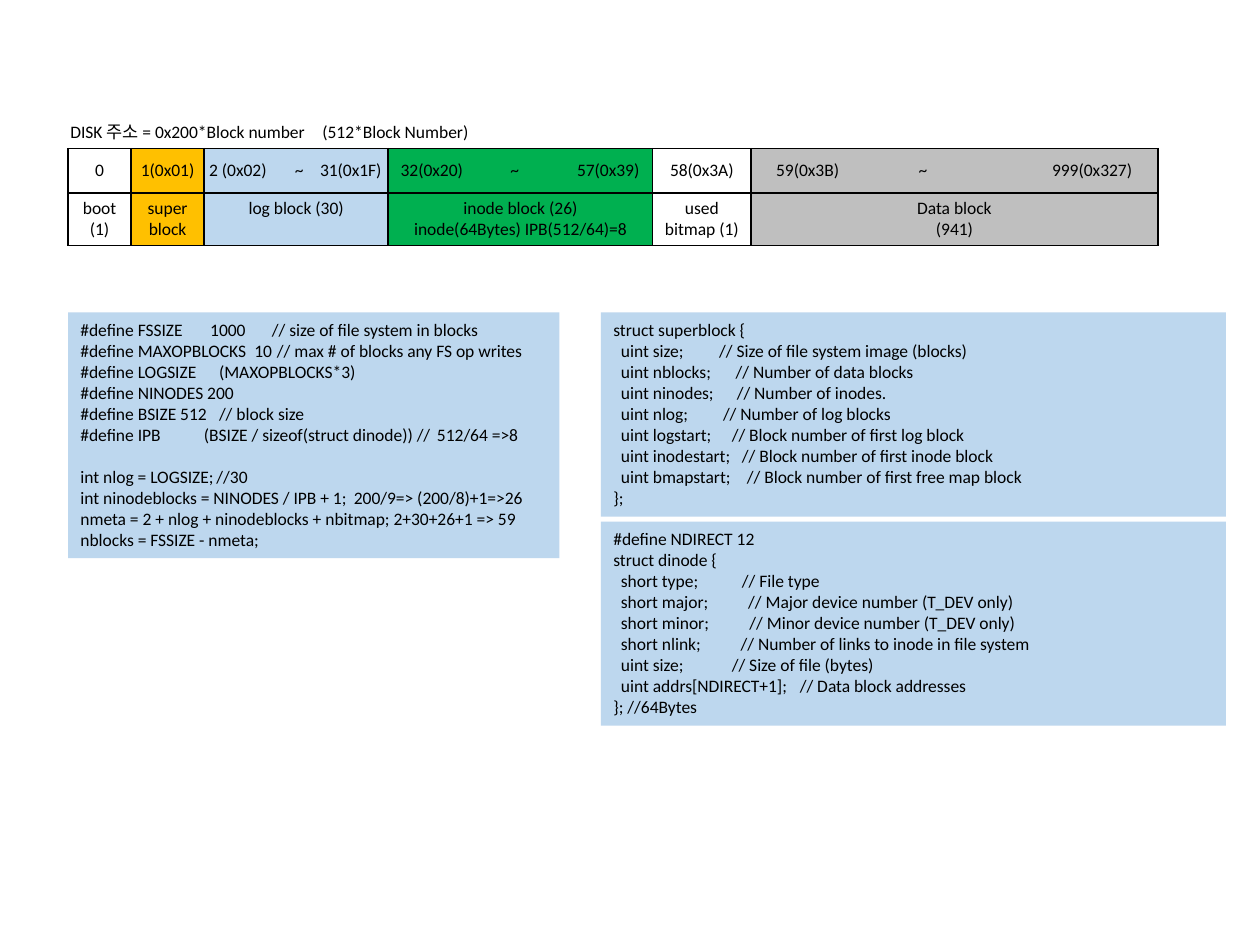
from lxml.etree import SubElement
from pptx import Presentation
from pptx.dml.color import RGBColor
from pptx.enum.shapes import MSO_SHAPE
from pptx.enum.text import MSO_ANCHOR, MSO_AUTO_SIZE, PP_ALIGN
from pptx.oxml.ns import qn
from pptx.util import Emu, Inches, Pt

SKY = "BDD7EE"
LEFT, RIGHT = 0.54, 4.77
TOP, ROWS = 1.18, (0.35, 0.41)
STEP = 0.06

HEAD = [("DISK 주소 = 0x200*Block number\t(512*Block Number)", 2.0)]

# width, fill, block range with its tab stops, label lines
BLOCKS = [
    (0.5, "FFFFFF", ("0",), ["boot", "(1)"]),
    (0.58, "FFC000", ("1(0x01)",), ["super", "block"]),
    (1.46, SKY, ("2 (0x02)\t~\t31(0x1F)", 0.68, 0.88), ["log block (30)"]),
    (2.1, "00B050", ("\t32(0x20)\t~\t57(0x39)", 0.06, 0.93, 1.46),
     ["inode block (26)", "inode(64Bytes) IPB(512/64)=8"]),
    (0.78, None, ("58(0x3A)",), ["used", "bitmap (1)"]),
    (3.23, "BFBFBF", ("\t59(0x3B)\t~\t999(0x327)", 0.16, 1.29, 2.35),
     ["Data block", "(941)"]),
]

DEFINES = [
    ("#define FSSIZE\t1000\t// size of file system in blocks", 1.03, 1.52),
    ("#define MAXOPBLOCKS\t10\t// max # of blocks any FS op writes", 1.38, 1.56),
    ("#define LOGSIZE\t(MAXOPBLOCKS*3)", 1.1),
    ("#define NINODES 200",),
    ("#define BSIZE 512\t// block size", 1.1),
    ("#define IPB\t(BSIZE / sizeof(struct dinode)) //\t512/64 =>8", 0.98, 2.83),
]
SIZES = [
    ("int nlog = LOGSIZE;\t//30", 1.08),
    ("int ninodeblocks = NINODES / IPB + 1;\t200/9=> (200/8)+1=>26", 2.17),
    ("nmeta = 2 + nlog + ninodeblocks + nbitmap; 2+30+26+1 => 59",),
    ("nblocks = FSSIZE - nmeta;",),
]
SUPER = [
    ("struct superblock {",),
    ("\tuint size;\t// Size of file system image (blocks)", STEP, 0.84),
    ("\tuint nblocks;\t// Number of data blocks", STEP, 0.97),
    ("\tuint ninodes;\t// Number of inodes.", STEP, 0.98),
    ("\tuint nlog;\t// Number of log blocks", STEP, 0.87),
    ("\tuint logstart;\t// Block number of first log block", STEP, 0.94),
    ("\tuint inodestart;\t// Block number of first inode block", STEP, 1.02),
    ("\tuint bmapstart;\t// Block number of first free map block", STEP, 1.06),
    ("};",),
]
DINODE = [
    ("#define NDIRECT 12",),
    ("struct dinode {",),
    ("\tshort type;\t// File type", STEP, 1.02),
    ("\tshort major;\t// Major device number (T_DEV only)", STEP, 1.07),
    ("\tshort minor;\t// Minor device number (T_DEV only)", STEP, 1.08),
    ("\tshort nlink;\t// Number of links to inode in file system", STEP, 1.01),
    ("\tuint size;\t// Size of file (bytes)", STEP, 0.94),
    ("\tuint addrs[NDIRECT+1];\t// Data block addresses", STEP, 1.48),
    ("}; //64Bytes",),
]
# left, top, width, height, groups of lines
PANELS = [
    (RIGHT, 2.48, 4.96, 1.62, [SUPER]),
    (RIGHT, 4.14, 4.96, 1.62, [DINODE]),
    (LEFT, 2.48, 3.9, 1.95, [DEFINES, SIZES]),
]


def tint(text):
    return RGBColor.from_string(text)


def write(frame, groups, align=PP_ALIGN.LEFT, size=10, color="000000"):
    """Fill a frame with groups of lines, each line a text and its tab stops."""
    para = None
    for num, group in enumerate(groups):
        for pos, (text, *stops) in enumerate(group):
            para = frame.add_paragraph() if para else frame.paragraphs[0]
            para.alignment = align
            if num and not pos:
                para.space_before = Pt(size * 1.22)
            if stops:
                tabs = SubElement(para._p.get_or_add_pPr(), qn("a:tabLst"))
                for stop in stops:
                    SubElement(tabs, qn("a:tab"), pos=str(Inches(stop)), algn="l")
            run = para.add_run()
            run.text = text
            run.font.size, run.font.name = Pt(size), "Calibri"
            run.font.color.rgb = tint(color)


def edge(cell):
    props = cell._tc.get_or_add_tcPr()
    for pos, side in enumerate(("a:lnL", "a:lnR", "a:lnT", "a:lnB")):
        line = props.makeelement(qn(side), {"w": str(Pt(1))})
        fill = SubElement(line, qn("a:solidFill"))
        SubElement(fill, qn("a:srgbClr"), val="000000")
        props.insert(pos, line)


def draw_map(slide):
    wide = sum(block[0] for block in BLOCKS)
    grid = slide.shapes.add_table(
        len(ROWS), len(BLOCKS), Inches(LEFT), Inches(TOP),
        Inches(wide), Inches(sum(ROWS))).table
    grid.first_row = grid.horz_banding = False
    for row, high in zip(grid.rows, ROWS):
        row.height = Inches(high)
    for col, (width, fill, span, label) in enumerate(BLOCKS):
        grid.columns[col].width = Inches(width)
        for row, lines in enumerate(([span], [(text,) for text in label])):
            cell = grid.cell(row, col)
            cell.margin_left = cell.margin_right = Inches(0.04)
            cell.margin_top = cell.margin_bottom = Inches(0.04)
            cell.vertical_anchor = MSO_ANCHOR.TOP if row else MSO_ANCHOR.MIDDLE
            if fill:
                cell.fill.solid()
                cell.fill.fore_color.rgb = tint(fill)
            else:
                cell.fill.background()
            edge(cell)
            tabbed = len(lines[0]) > 1
            write(cell.text_frame, [lines],
                  align=PP_ALIGN.LEFT if tabbed else PP_ALIGN.CENTER)


def draw_panel(slide, left, top, width, height, groups):
    panel = slide.shapes.add_shape(
        MSO_SHAPE.RECTANGLE, *map(Inches, (left, top, width, height)))
    panel.shadow.inherit = False
    panel.fill.solid()
    panel.fill.fore_color.rgb = tint(SKY)
    panel.line.fill.background()
    frame = panel.text_frame
    frame.word_wrap = True
    frame.vertical_anchor = MSO_ANCHOR.TOP
    frame.auto_size = MSO_AUTO_SIZE.SHAPE_TO_FIT_TEXT
    write(frame, groups)


def main():
    deck = Presentation()
    deck.slide_width, deck.slide_height = Emu(Inches(10)), Emu(Inches(7.5))
    slide = deck.slides.add_slide(deck.slide_layouts[6])
    draw_map(slide)
    for panel in PANELS:
        draw_panel(slide, *panel)
    head = slide.shapes.add_textbox(*map(Inches, (0.46, 0.91, 3.39, 0.27)))
    head.text_frame.word_wrap = True
    write(head.text_frame, [HEAD])
    deck.save("out.pptx")


if __name__ == "__main__":
    main()
